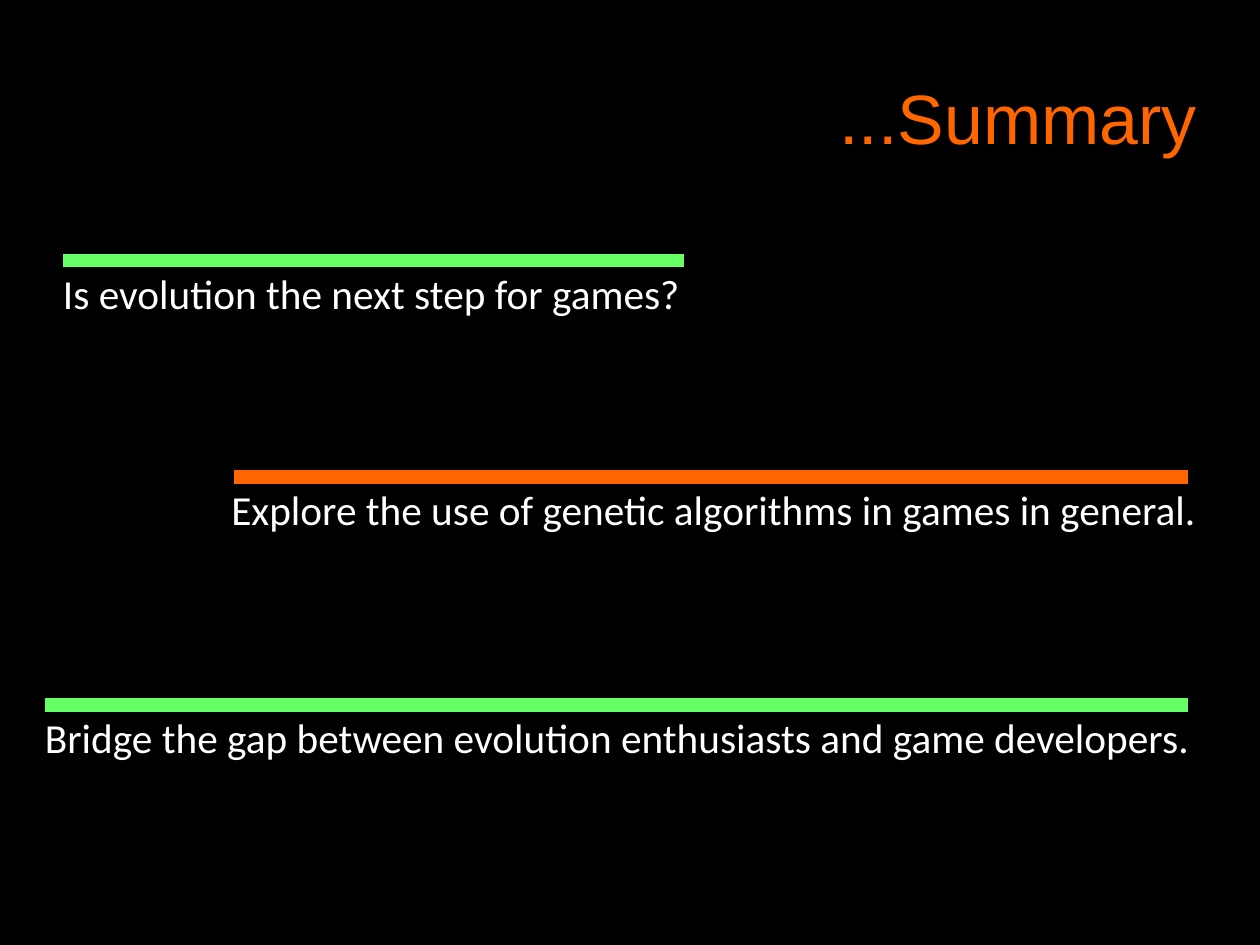
from dataclasses import dataclass

from pptx import Presentation
from pptx.dml.color import RGBColor as RGB
from pptx.enum.shapes import MSO_CONNECTOR as Link
from pptx.enum.text import MSO_ANCHOR as Anchor, PP_ALIGN as Align
from pptx.oxml.ns import qn
from pptx.util import Cm, Pt
from lxml.etree import SubElement


@dataclass(frozen=True)
class Theme:
    """Colours, fonts and sizes of the slide."""
    back: RGB = RGB(0, 0, 0)
    text: RGB = RGB(0xFF, 0xFF, 0xFF)
    green: RGB = RGB(0x66, 0xFF, 0x66)
    orange: RGB = RGB(0xFF, 0x66, 0x00)
    head: str = "Arial"
    body: str = "Calibri"
    large: Pt = Pt(44)
    small: Pt = Pt(26)
    rule: Pt = Pt(8.5)


THEME = Theme()


def set_text(frame, text, align, anchor, name, size, color):
    """Write one paragraph in a frame without insets."""
    frame.margin_left = frame.margin_right = 0
    frame.margin_top = frame.margin_bottom = 0
    frame.word_wrap = True
    frame.vertical_anchor = anchor
    frame.text = text
    par = frame.paragraphs[0]
    par.alignment = align
    par.font.name = name
    par.font.size = size
    par.font.color.rgb = color
    return par


def add_title(slide, text):
    """Place and format the title."""
    title = slide.shapes.title
    title.left, title.top = Cm(1.4), Cm(0.84)
    title.width, title.height = Cm(25.2), Cm(3.5)
    set_text(title.text_frame, text, Align.RIGHT, Anchor.MIDDLE,
             THEME.head, THEME.large, THEME.orange)


def add_rule(slide, start, end, top, color):
    """Draw a thick level line."""
    rule = slide.shapes.add_connector(
        Link.STRAIGHT, Cm(start), Cm(top), Cm(end), Cm(top))
    rule.line.color.rgb = color
    rule.line.width = THEME.rule
    SubElement(rule._element.spPr, qn("a:effectLst"))


def add_point(slide, text, left, top, width, align):
    """Add a line of body text."""
    box = slide.shapes.add_textbox(Cm(left), Cm(top), Cm(width), Cm(2.2))
    par = set_text(box.text_frame, text, align, Anchor.TOP,
                   THEME.body, THEME.small, THEME.text)
    par.line_spacing = 1.15
    par.space_after = Pt(2.9)


def main():
    """Build and save the slide."""
    deck = Presentation()
    deck.slide_width, deck.slide_height = Cm(28), Cm(21)
    slide = deck.slides.add_slide(deck.slide_layouts[5])
    fill = slide.background.fill
    fill.solid()
    fill.fore_color.rgb = THEME.back
    add_title(slide, "...Summary")
    points = [
        ("Is evolution the next step for games?",
         5.79, 1.4, 15.2, THEME.green, 1.4, 26.2, Align.LEFT),
        ("Explore the use of genetic algorithms in games in general.",
         10.6, 5.2, 26.4, THEME.orange, 1, 25.6, Align.RIGHT),
        ("Bridge the gap between evolution enthusiasts and game developers.",
         15.67, 1, 26.4, THEME.green, 1, 26, Align.LEFT),
    ]
    for text, top, start, end, color, left, width, align in points:
        add_rule(slide, start, end, top, color)
        add_point(slide, text, left, top, width, align)
    deck.save("out.pptx")


if __name__ == "__main__":
    main()
